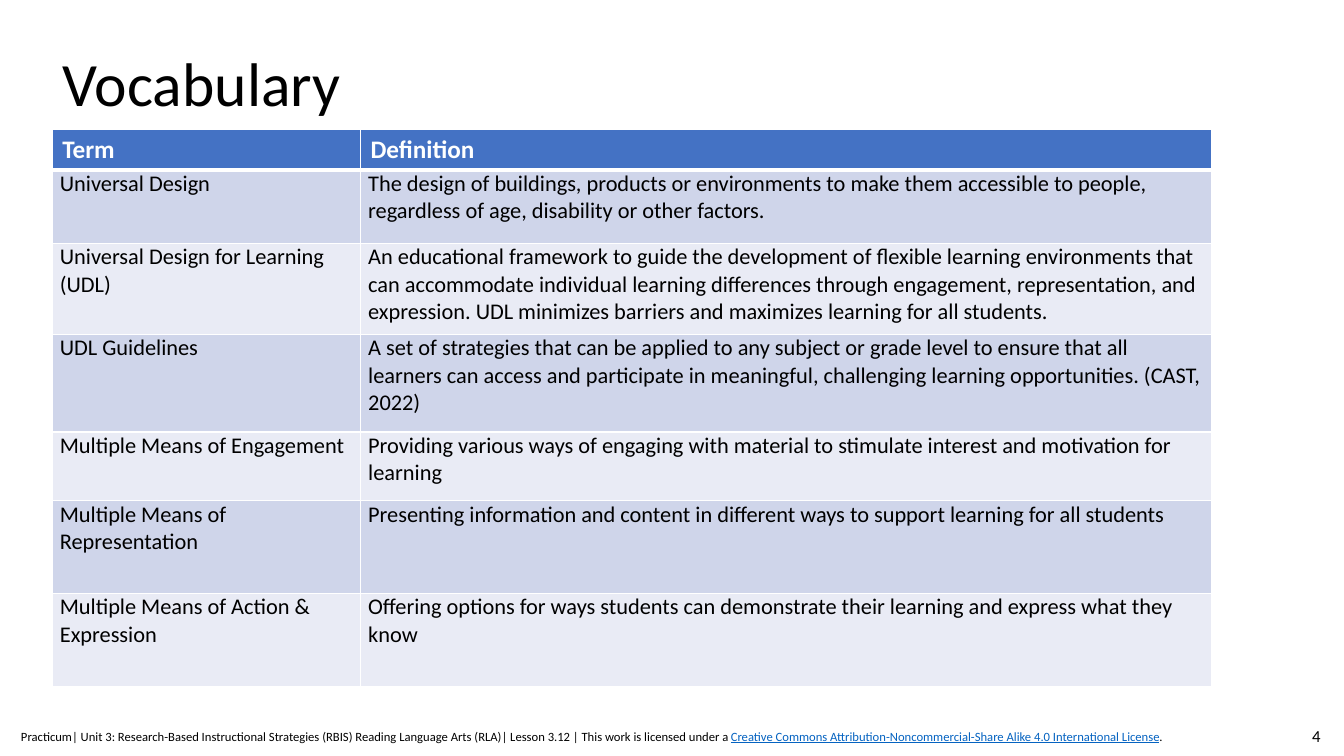
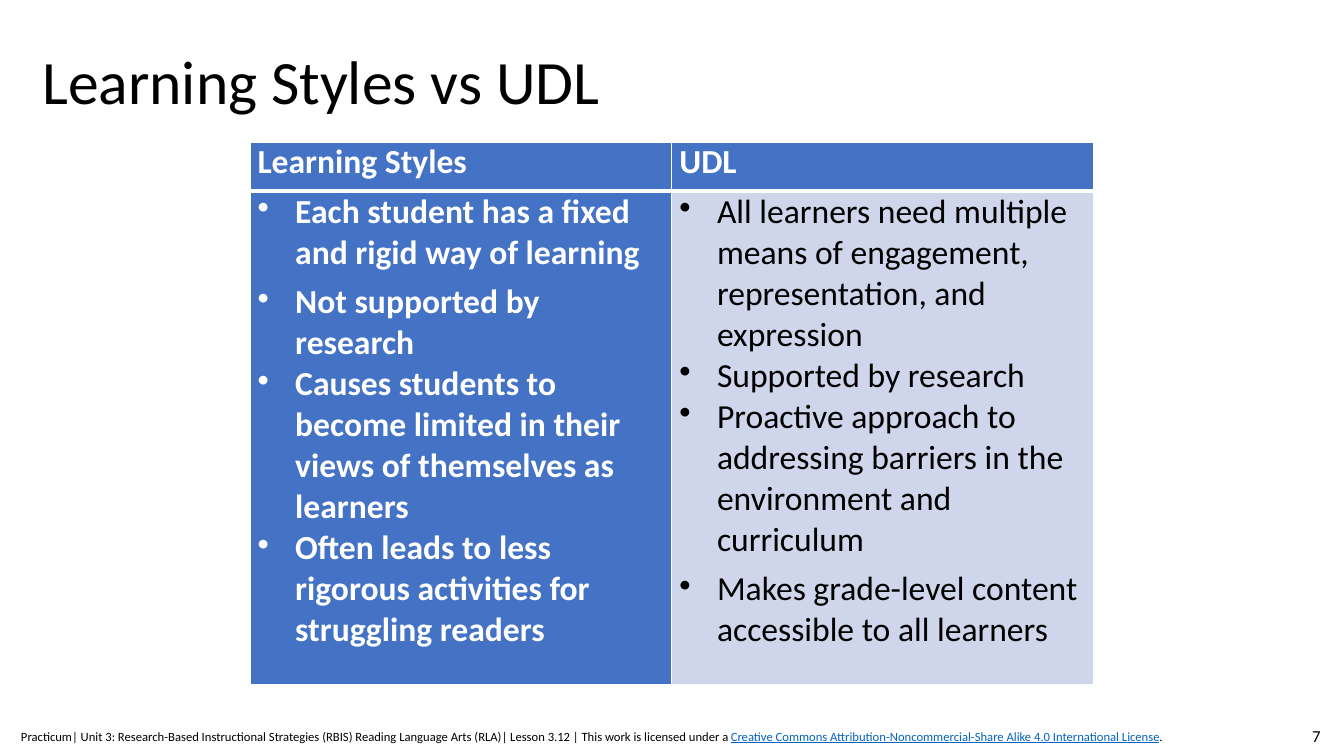
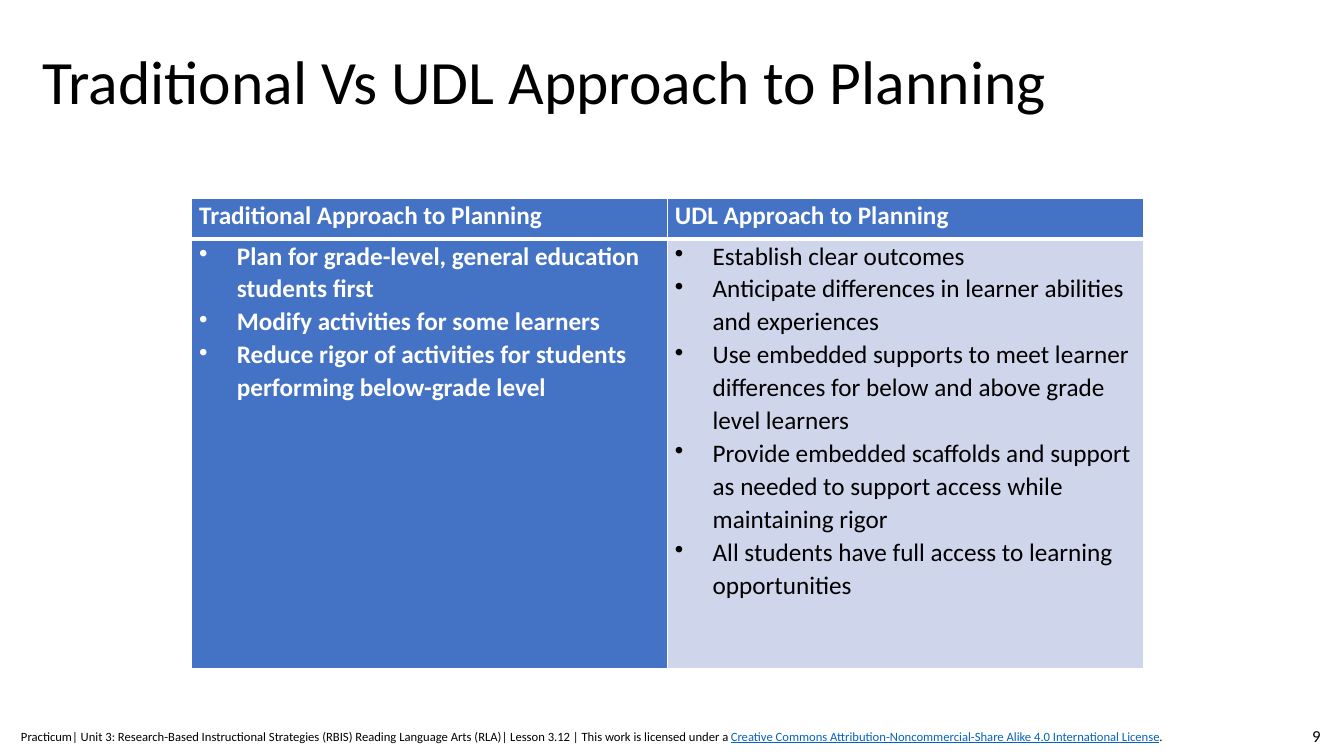
import pptx
import pptx.util
import pptx.dml.color
import pptx.enum.text
import lxml.etree
from pptx.util import Cm, Pt

# Shared look
FONT = "Calibri"
HEX = {"ink": "000000", "white": "FFFFFF", "head": "4472C4",
       "band": "CFD5EA", "pale": "E9EBF5", "link": "0563C1"}
FOOT = [
    ("Practicum| Unit 3: Research-Based Instructional Strategies (RBIS) "
     "Reading Language Arts (RLA)| Lesson 3.12 | "
     "This work is licensed under a ", "ink"),
    ("Creative Commons Attribution-Noncommercial-Share Alike 4.0 "
     "International License", "link"),
    (".", "ink"),
]
INDENT = Cm(0.95)
NS = "http://schemas.openxmlformats.org/drawingml/2006/main"

# Content: one dict per slide; a list in a cell is a bullet list,
# "gaps" names the bullet in a column that has space before it
SLIDES = [
    {
        "title": "Vocabulary", "page": 4, "box": (1.32, 0.33, 29.21, 3.68),
        "at": (1.32, 3.25), "cols": (7.77, 21.44),
        "rows": (0.97, 1.85, 2.29, 2.46, 1.73, 2.34, 2.34),
        "size": 18, "body": 16, "line": None, "gaps": {},
        "inset": (0.25, 0.13), "lead": False,
        "cells": [
            ("Term", "Definition"),
            ("Universal Design",
             "The design of buildings, products or environments to make them "
             "accessible to people, regardless of age, disability or other "
             "factors."),
            ("Universal Design for Learning (UDL)",
             "An educational framework to guide the development of flexible "
             "learning environments that can accommodate individual learning "
             "differences through engagement, representation, and expression. "
             "UDL minimizes barriers and maximizes learning for all students."),
            ("UDL Guidelines",
             "A set of strategies that can be applied to any subject or grade "
             "level to ensure that all learners can access and participate in "
             "meaningful, challenging learning opportunities. (CAST, 2022)"),
            ("Multiple Means of Engagement",
             "Providing various ways of engaging with material to stimulate "
             "interest and motivation for learning"),
            ("Multiple Means of Representation",
             "Presenting information and content in different ways to support "
             "learning for all students"),
            ("Multiple Means of Action & Expression",
             "Offering options for ways students can demonstrate their "
             "learning and express what they know"),
        ],
    },
    {
        "title": "Learning Styles vs UDL", "page": 7,
        "box": (0.81, 0.66, 29.21, 2.92),
        "at": (6.3, 3.58), "cols": (10.63, 10.63), "rows": (1.24, 12.42),
        "size": 24, "body": 24, "line": None, "gaps": {0: 1, 1: 3},
        "inset": (0.19, 0), "lead": True,
        "cells": [
            ("Learning Styles", "UDL"),
            (["Each student has a fixed and rigid way of learning",
              "Not supported by research",
              "Causes students to become limited in their views of themselves "
              "as learners",
              "Often leads to less rigorous activities for struggling readers"],
             ["All learners need multiple means of engagement, "
              "representation, and expression",
              "Supported by research",
              "Proactive approach to addressing barriers in the environment "
              "and curriculum",
              "Makes grade-level content accessible to all learners"]),
        ],
    },
    {
        "title": "Traditional Vs UDL Approach to Planning", "page": 9,
        "box": (0.81, 0.66, 29.21, 2.92),
        "at": (4.83, 5), "cols": (11.99, 11.99), "rows": (1.02, 10.82),
        "size": 18, "body": 18, "line": 1.07, "gaps": {},
        "inset": (0.19, 0), "lead": True,
        "cells": [
            ("Traditional Approach to Planning", "UDL Approach to Planning"),
            (["Plan for grade-level, general education students first",
              "Modify activities for some learners",
              "Reduce rigor of activities for students performing below-grade "
              "level"],
             ["Establish clear outcomes",
              "Anticipate differences in learner abilities and experiences",
              "Use embedded supports to meet learner differences for below "
              "and above grade level learners",
              "Provide embedded scaffolds and support as needed to support "
              "access while maintaining rigor",
              "All students have full access to learning opportunities"]),
        ],
    },
]


def rgb(name):
    return pptx.dml.color.RGBColor.from_string(HEX[name])


def style(run, size, color="ink", bold=False):
    font = run.font
    font.name, font.size, font.bold = FONT, Pt(size), bold
    font.color.rgb = rgb(color)


def bullet(para):
    props = para._p.get_or_add_pPr()
    props.set("marL", str(INDENT))
    props.set("indent", str(-INDENT))
    lxml.etree.SubElement(props, f"{{{NS}}}buChar", char="•")


def border(cell, base):
    # Lines must come before the fill
    props = cell._tc.get_or_add_tcPr()
    for side, width in zip("LRTB", (1, 1, 1, base)):
        line = lxml.etree.SubElement(props, f"{{{NS}}}ln{side}",
                                     w=str(Pt(width)))
        solid = lxml.etree.SubElement(line, f"{{{NS}}}solidFill")
        lxml.etree.SubElement(solid, f"{{{NS}}}srgbClr", val=HEX["white"])


def add_title(slide, data):
    title = slide.shapes.title
    title.left, title.top, title.width, title.height = map(Cm, data["box"])
    frame = title.text_frame
    frame.text = data["title"]
    frame.vertical_anchor = pptx.enum.text.MSO_ANCHOR.MIDDLE
    frame.auto_size = pptx.enum.text.MSO_AUTO_SIZE.NONE
    para = frame.paragraphs[0]
    para.alignment = pptx.enum.text.PP_ALIGN.LEFT
    para.line_spacing = 0.9
    style(para.runs[0], 44)


def fill_cell(cell, data, row, col):
    head = row == 0
    strong = head or (data["lead"] and col == 0)
    border(cell, 3 if head else 1)
    cell.fill.solid()
    band = "band" if row % 2 else "pale"
    cell.fill.fore_color.rgb = rgb("head" if strong else band)
    side, edge = data["inset"] if head else (0.19, 0)
    cell.margin_left = cell.margin_right = Cm(side)
    cell.margin_top = cell.margin_bottom = Cm(edge)

    text = data["cells"][row][col]
    listed = isinstance(text, list)
    cell.text_frame.text = "\n".join(text) if listed else text
    for num, para in enumerate(cell.text_frame.paragraphs):
        if listed:
            bullet(para)
            if data["gaps"].get(col) == num:
                para.space_before = Pt(6)
        if data["line"]:
            para.line_spacing = data["line"]
        style(para.runs[0], data["size" if head else "body"],
              "white" if strong else "ink", strong)


def add_grid(slide, data):
    cols, rows = data["cols"], data["rows"]
    left, top = data["at"]
    table = slide.shapes.add_table(
        len(rows), len(cols), Cm(left), Cm(top),
        Cm(sum(cols)), Cm(sum(rows))).table
    table.horz_banding = False
    for col, width in enumerate(cols):
        table.columns[col].width = Cm(width)
    for row, height in enumerate(rows):
        table.rows[row].height = Cm(height)
        for col in range(len(cols)):
            fill_cell(table.cell(row, col), data, row, col)


def add_box(slide, box):
    frame = slide.shapes.add_textbox(*map(Cm, box)).text_frame
    frame.word_wrap = True
    return frame


def add_foot(slide, page):
    frame = add_box(slide, (25.91, 18.03, 7.62, 1.02))
    frame.vertical_anchor = pptx.enum.text.MSO_ANCHOR.MIDDLE
    frame.text = str(page)
    para = frame.paragraphs[0]
    para.alignment = pptx.enum.text.PP_ALIGN.RIGHT
    style(para.runs[0], 12)

    frame = add_box(slide, (0.28, 18.24, 29.82, 0.64))
    frame.auto_size = pptx.enum.text.MSO_AUTO_SIZE.SHAPE_TO_FIT_TEXT
    for text, color in FOOT:
        run = frame.paragraphs[0].add_run()
        run.text = text
        style(run, 9, color)
        run.font.underline = color == "link"


def main():
    deck = pptx.Presentation()
    deck.slide_width, deck.slide_height = Cm(33.87), Cm(19.05)
    for data in SLIDES:
        slide = deck.slides.add_slide(deck.slide_layouts[5])
        add_title(slide, data)
        add_grid(slide, data)
        add_foot(slide, data["page"])
    deck.save("out.pptx")


if __name__ == "__main__":
    main()
